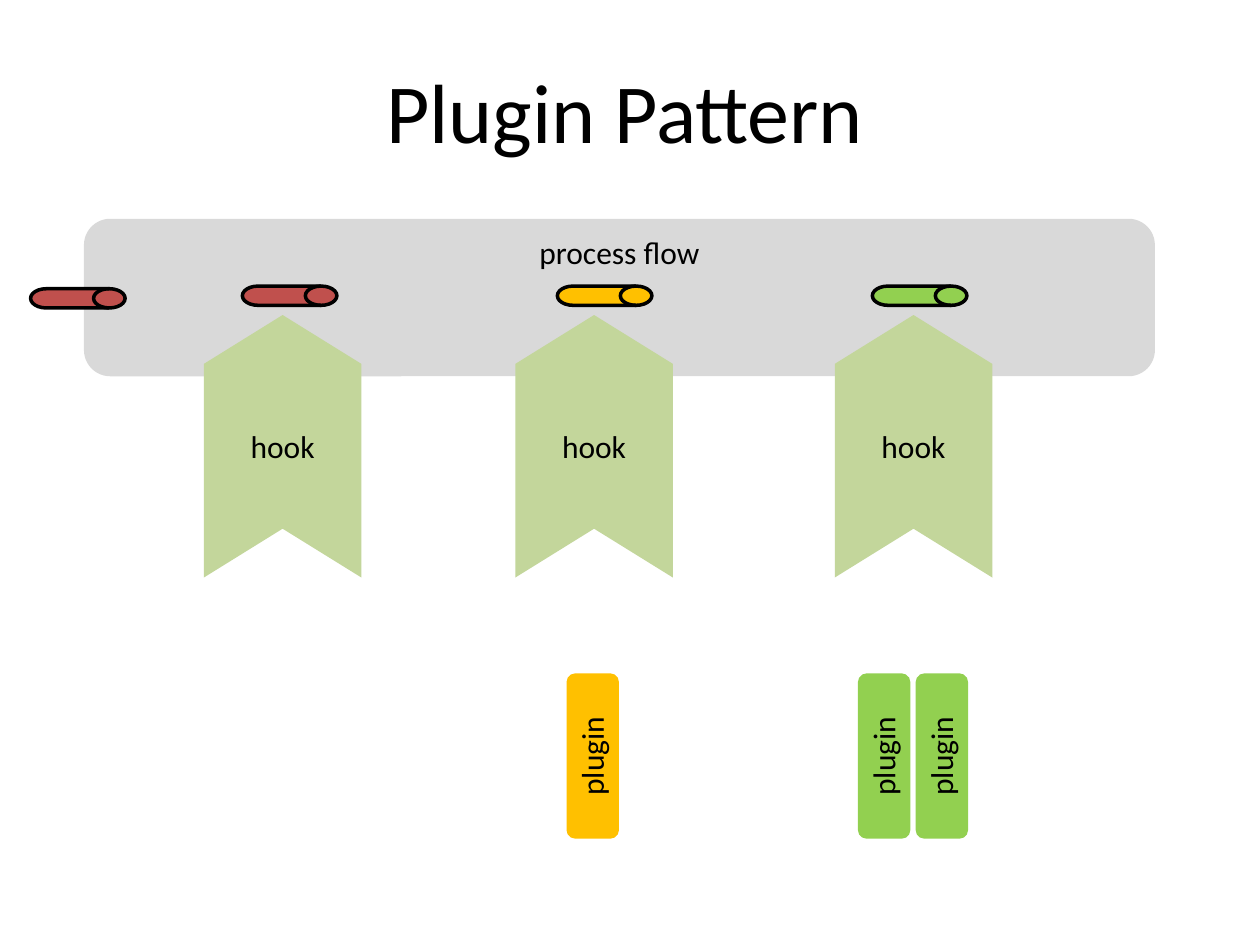
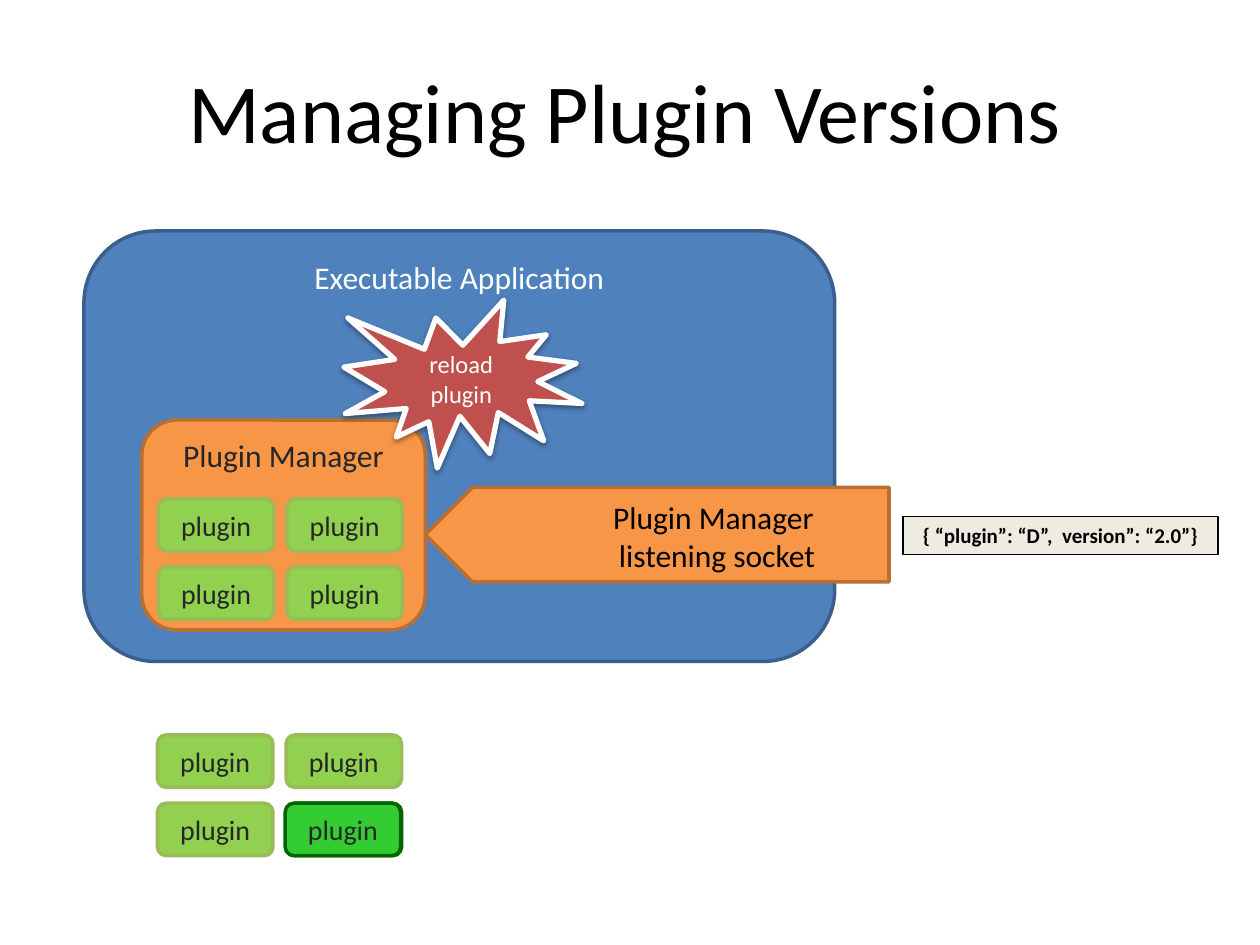
import pptx
import pptx.dml.color
import pptx.enum.shapes
import pptx.enum.text
import pptx.oxml
import pptx.oxml.ns
import pptx.util

Pt = pptx.util.Pt
Shape = pptx.enum.shapes.MSO_SHAPE
Anchor = pptx.enum.text.MSO_ANCHOR

COLOURS = {
    "black": "000000", "white": "FFFFFF", "charcoal": "262626",
    "grey": "D9D9D9", "cream": "EEECE1", "red": "C0504D",
    "amber": "FFC000", "lime": "92D050", "olive": "9BBB59",
    "sage": "C3D69B", "green": "33CC33", "dark green": "006600",
    "blue": "4F81BD", "dark blue": "3A5F8C",
    "orange": "F79646", "dark orange": "B76F34",
}
RGB = {name: pptx.dml.color.RGBColor.from_string(code) for name, code in COLOURS.items()}
FONT = "Calibri"
TITLE_BOX = (36, 30, 642, 66)
PLUGIN_SIZE = (66, 30)
PLUGIN_STEP = (73.5, 39)
BURST_SHADOW = (
    '<a:effectLst xmlns:a="http://schemas.openxmlformats.org/drawingml/2006/main">'
    '<a:outerShdw blurRad="39370" dist="20320" dir="5400000" rotWithShape="0">'
    '<a:srgbClr val="000000"><a:alpha val="38000"/></a:srgbClr>'
    '</a:outerShdw></a:effectLst>'
)


def write_text(box, text, size, colour="black", anchor=Anchor.MIDDLE, bold=False):
    frame = box.text_frame
    frame.text = text
    frame.word_wrap = True
    frame.auto_size = pptx.enum.text.MSO_AUTO_SIZE.NONE
    frame.vertical_anchor = anchor
    for para in frame.paragraphs:
        para.alignment = pptx.enum.text.PP_ALIGN.CENTER
        for span in para.runs:
            span.font.name = FONT
            span.font.size = Pt(size)
            span.font.bold = bold
            span.font.color.rgb = RGB[colour]


def add_block(page, kind, place, fill, line=None, line_width=2, rotation=0):
    """Add a flat filled shape at (left, top, width, height) in points."""
    block = page.shapes.add_shape(kind, *map(Pt, place))
    block.shadow.inherit = False
    block.rotation = rotation
    block.fill.solid()
    block.fill.fore_color.rgb = RGB[fill]
    if line:
        block.line.color.rgb = RGB[line]
        block.line.width = Pt(line_width)
    else:
        block.line.fill.background()
    return block


deck = pptx.Presentation()
deck.slide_width, deck.slide_height = Pt(720), Pt(540)

pages = []
for heading in ("Plugin Pattern", "Managing Plugin Versions"):
    page = deck.slides.add_slide(deck.slide_layouts.get_by_name("Title Only"))
    title = page.shapes.title
    title.left, title.top, title.width, title.height = map(Pt, TITLE_BOX)
    write_text(title, heading, 48)
    pages.append(page)
pattern_page, versions_page = pages

# Plugin pattern: a process flow with three hooks
for left, colour in ((458, "lime"), (491, "lime"), (291.5, "amber")):
    plugin = add_block(pattern_page, Shape.ROUNDED_RECTANGLE, (left, 417, 94.5, 30),
                       colour, rotation=270)
    write_text(plugin, "plugin", 18, anchor=Anchor.BOTTOM)

flow = add_block(pattern_page, Shape.ROUNDED_RECTANGLE, (48, 125, 612, 90), "grey")
write_text(flow, "process flow", 18, anchor=Anchor.TOP)

for left in (86.5, 264.5, 447):
    hook = add_block(pattern_page, Shape.CHEVRON, (left, 210, 150, 90), "sage", rotation=270)
    hook.adjustments[0] = 0.31
    write_text(hook, "hook", 18)
    hook.text_frame._txBody.bodyPr.set("vert", "vert")

drums = [(17.5, 165, "red")]
drums += [(138.5 + 180 * index, 163.5, colour)
          for index, colour in enumerate(("red", "amber", "lime"))]
for left, top, colour in drums:
    add_block(pattern_page, Shape.FLOWCHART_DIRECT_ACCESS_STORAGE, (left, top, 54, 11),
              colour, "black")

# Managing versions: the application, its plugin manager and the plugins
application = add_block(versions_page, Shape.ROUNDED_RECTANGLE, (48, 132, 429, 246),
                        "blue", "dark blue")
write_text(application, "Executable Application", 18, "white", Anchor.TOP)
manager = add_block(versions_page, Shape.ROUNDED_RECTANGLE, (81, 240, 162, 120),
                    "orange", "dark orange")
write_text(manager, "Plugin Manager", 18, "charcoal", Anchor.TOP)

plugins = [
    (left + PLUGIN_STEP[0] * column, top + PLUGIN_STEP[1] * row, "lime", "olive")
    for left, top in ((90.5, 285), (90, 420))
    for row in range(2)
    for column in range(2)
]
# The new version stands as a pair, one just behind the other, in the last place
plugins[-1:] = [(left, 459, "green", "dark green") for left in (163.5, 163)]
for left, top, fill, line in plugins:
    plugin = add_block(versions_page, Shape.ROUNDED_RECTANGLE, (left, top, *PLUGIN_SIZE),
                       fill, line)
    write_text(plugin, "plugin", 16, "charcoal")

burst = add_block(versions_page, Shape.EXPLOSION1, (196.5, 171.5, 136, 96), "red", "white", 3)
write_text(burst, "reload\nplugin", 14, "white")
properties = burst._element.spPr
properties.remove(properties.find(pptx.oxml.ns.qn("a:effectLst")))
properties.append(pptx.oxml.parse_xml(BURST_SHADOW))

add_block(versions_page, Shape.PENTAGON, (243, 278.5, 265, 54), "orange", "dark orange",
          rotation=180)
socket_label = versions_page.shapes.add_textbox(*map(Pt, (292, 281, 235.5, 48.5)))
write_text(socket_label, "Plugin Manager \nlistening socket", 18, anchor=Anchor.TOP)

message = add_block(versions_page, Shape.RECTANGLE, (516, 295, 180, 22), "cream", "black", 0.75)
write_text(message, "{ “plugin”: “D”,  version”: “2.0”}", 12, bold=True)

deck.save("out.pptx")
